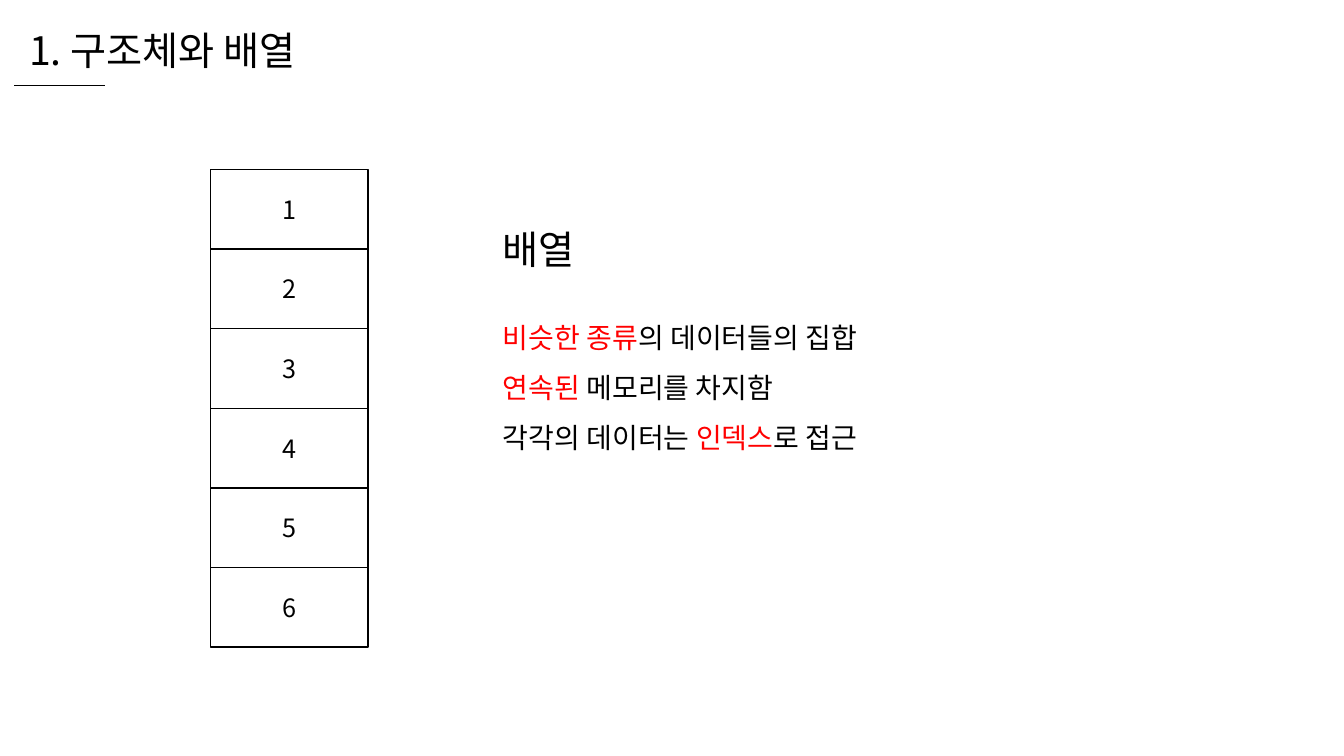
from pptx import Presentation
from pptx.dml.color import RGBColor
from pptx.enum.shapes import MSO_CONNECTOR, MSO_SHAPE
from pptx.enum.text import MSO_ANCHOR, MSO_AUTO_SIZE, PP_ALIGN
from pptx.oxml.ns import qn
from pptx.util import Pt
from lxml.etree import SubElement

FONT = "Noto Sans CJK KR"
COLORS = {"ink": "000000", "paper": "FFFFFF", "accent": "FF0000"}


def color(name):
    return RGBColor.from_string(COLORS[name])


def style(para, size):
    """Set the font for both Latin and Korean letters."""
    para.font.size = Pt(size)
    para.font.name = FONT
    para.font.color.rgb = color("ink")
    defaults = para._p.pPr.find(qn("a:defRPr"))
    SubElement(defaults, qn("a:ea"), typeface=FONT)


def add_text(page, left, top, width, height, lines, size, spacing=None):
    """Write lines, each a list of (text, color name) spans."""
    box = page.shapes.add_textbox(Pt(left), Pt(top), Pt(width), Pt(height))
    frame = box.text_frame
    frame.word_wrap = False
    frame.auto_size = MSO_AUTO_SIZE.SHAPE_TO_FIT_TEXT
    for index, line in enumerate(lines):
        para = frame.add_paragraph() if index else frame.paragraphs[0]
        if spacing:
            para.line_spacing = spacing
        style(para, size)
        for text, name in line:
            span = para.add_run()
            span.text = text
            if name != "ink":
                span.font.color.rgb = color(name)


def add_heading(page, left, top):
    add_text(page, left + 3.6, top, 224, 41, [[("1. 구조체와 배열", "ink")]], 28)
    rule = page.shapes.add_connector(
        MSO_CONNECTOR.STRAIGHT, Pt(left), Pt(top + 46.2), Pt(left + 64.8), Pt(top + 46.2))
    rule.line.color.rgb = color("ink")
    rule.line.width = Pt(0.5)
    SubElement(rule._element.spPr, qn("a:effectLst"))


def add_array(page, left, top, width, height, values):
    """Stack one cell per value, sharing the height equally."""
    step = height / len(values)
    for index, value in enumerate(values):
        cell = page.shapes.add_shape(
            MSO_SHAPE.RECTANGLE, Pt(left), Pt(top + index * step), Pt(width), Pt(step))
        cell.shadow.inherit = False
        cell.fill.solid()
        cell.fill.fore_color.rgb = color("paper")
        cell.line.color.rgb = color("ink")
        cell.line.width = Pt(1)
        cell.text_frame.vertical_anchor = MSO_ANCHOR.MIDDLE
        para = cell.text_frame.paragraphs[0]
        para.alignment = PP_ALIGN.CENTER
        style(para, 18)
        span = para.add_run()
        span.text = str(value)
        span.font.color.rgb = color("ink")


def add_description(page, left, top):
    add_text(page, left, top, 67.7, 41, [[("배열", "ink")]], 28)
    features = [
        [("비슷한 종류", "accent"), ("의 데이터들의 집합", "ink")],
        [("연속된", "accent"), (" 메모리를 차지함", "ink")],
        [("각각의 데이터는 ", "ink"), ("인덱스", "accent"), ("로 접근", "ink")],
    ]
    add_text(page, left, top + 55.4, 278, 112.3, features, 20, spacing=1.5)


def main():
    deck = Presentation()
    deck.slide_width, deck.slide_height = Pt(960), Pt(540)
    page = deck.slides.add_slide(deck.slide_layouts[6])
    add_heading(page, 10.1, 15.1)
    add_array(page, 150.5, 121, 112.3, 341.3, range(1, 7))
    add_description(page, 352.1, 157.7)
    deck.save("out.pptx")


if __name__ == "__main__":
    main()
